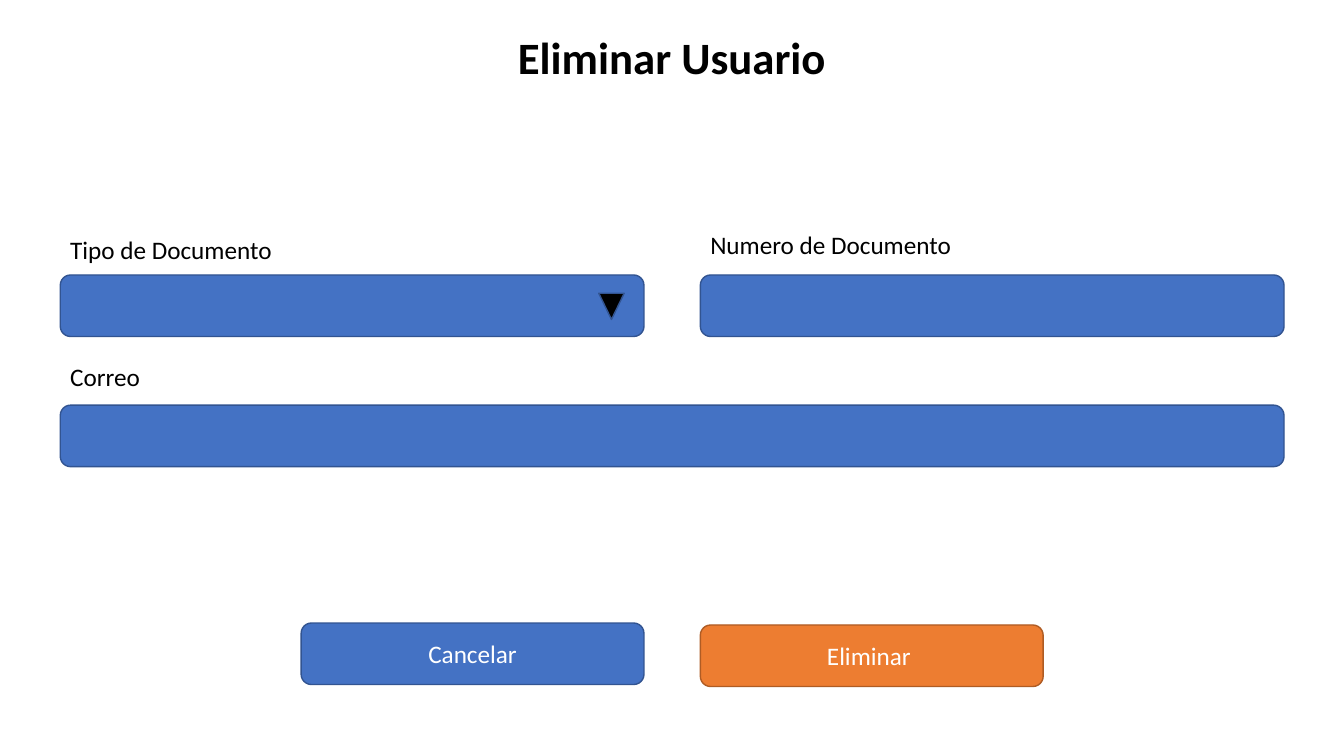
"""Build the "Eliminar Usuario" form slide."""
from pptx import Presentation
from pptx.dml.color import RGBColor
from pptx.enum.shapes import MSO_SHAPE
from pptx.enum.text import MSO_ANCHOR, MSO_AUTO_SIZE, PP_ALIGN
from pptx.util import Cm, Pt

TITLE = "Eliminar Usuario"
BLUE, BLUE_EDGE = "4472C4", "325491"
ORANGE, ORANGE_EDGE = "ED7D31", "AF5C24"
BLACK, WHITE = "000000", "FFFFFF"

SLIDE_W, SLIDE_H = 33.87, 19.05
LEFT, RIGHT = 1.52, 17.65
HALF_W, BUTTON_W, BOX_H, LABEL_H = 14.71, 8.64, 1.55, 1.02
FULL_W = RIGHT + HALF_W - LEFT

# label, left, label top, box top, box width
FIELDS = [
    ("Tipo de Documento", LEFT, 5.77, 6.93, HALF_W),
    ("Numero de Documento", RIGHT, 5.66, 6.93, HALF_W),
    ("Correo", LEFT, 8.97, 10.21, FULL_W),
]
BUTTONS = [
    ("Cancelar", LEFT + HALF_W - BUTTON_W, 15.7, BLUE, BLUE_EDGE),
    ("Eliminar ", RIGHT, 15.75, ORANGE, ORANGE_EDGE),
]


def rgb(color):
    """Turn a hex string into a colour."""
    return RGBColor.from_string(color)


def write(sp, text, size, color, align, bold=False):
    """Put one formatted paragraph into a shape."""
    tf = sp.text_frame
    tf.text = text
    tf.word_wrap = True
    p = tf.paragraphs[0]
    p.alignment = align
    font = p.runs[0].font
    font.name, font.size, font.bold = "Calibri", Pt(size), bold
    font.color.rgb = rgb(color)
    return tf


def shape(s, kind, box, fill, edge):
    """Add a filled and outlined preset shape."""
    sp = s.shapes.add_shape(kind, *map(Cm, box))
    sp.shadow.inherit = False
    sp.fill.solid()
    sp.fill.fore_color.rgb = rgb(fill)
    sp.line.color.rgb = rgb(edge)
    sp.line.width = Pt(1)
    return sp


prs = Presentation()
prs.slide_width, prs.slide_height = Cm(SLIDE_W), Cm(SLIDE_H)
s = prs.slides.add_slide(prs.slide_layouts[5])

title = s.shapes.title
title.left, title.top, title.width, title.height = map(Cm, (0, 0.61, SLIDE_W, 1.63))
tf = write(title, TITLE, 32, BLACK, PP_ALIGN.CENTER, bold=True)
tf.vertical_anchor = MSO_ANCHOR.TOP
tf.auto_size = MSO_AUTO_SIZE.SHAPE_TO_FIT_TEXT

for label, left, label_top, box_top, width in FIELDS:
    shape(s, MSO_SHAPE.ROUNDED_RECTANGLE, (left, box_top, width, BOX_H), BLUE, BLUE_EDGE)
    tb = s.shapes.add_textbox(*map(Cm, (left, label_top, HALF_W, LABEL_H)))
    tf = write(tb, label, 18, BLACK, PP_ALIGN.LEFT)
    tf.auto_size = MSO_AUTO_SIZE.SHAPE_TO_FIT_TEXT

for text, left, top, fill, edge in BUTTONS:
    button = shape(s, MSO_SHAPE.ROUNDED_RECTANGLE, (left, top, BUTTON_W, BOX_H), fill, edge)
    tf = write(button, text, 18, WHITE, PP_ALIGN.CENTER)
    tf.vertical_anchor = MSO_ANCHOR.MIDDLE

arrow = shape(s, MSO_SHAPE.ISOSCELES_TRIANGLE, (15.09, 7.39, 0.64, 0.66), BLACK, BLUE_EDGE)
arrow.rotation = 180

prs.save("out.pptx")
